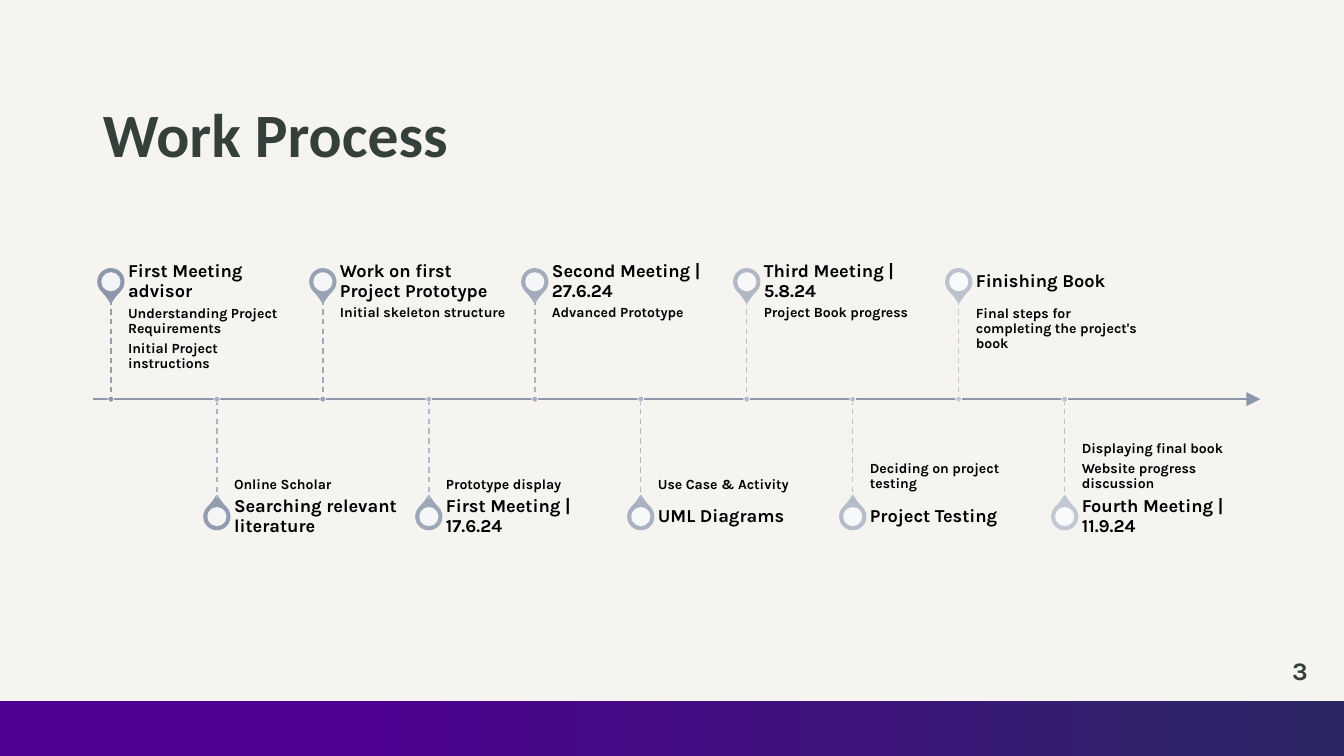
from dataclasses import dataclass

import pptx
import pptx.dml.color
import pptx.enum.dml
import pptx.enum.shapes
import pptx.enum.text
import pptx.oxml
import pptx.oxml.ns
import pptx.util

Inches = pptx.util.Inches
Pt = pptx.util.Pt
SHAPE = pptx.enum.shapes.MSO_SHAPE
ANCHOR = pptx.enum.text.MSO_ANCHOR
ALIGN = pptx.enum.text.PP_ALIGN


@dataclass(frozen=True)
class Theme:
    background: str = "F6F4F1"
    ink: str = "35403A"
    text: str = "000000"
    white: str = "FFFFFF"
    pin_first: str = "8D97AA"
    pin_last: str = "C1C7D3"
    band_right: str = "2B2765"
    band_left: str = "4E0091"
    title_font: str = "Calibri"
    body_font: str = "Karla"
    title_size: float = 44
    number_size: float = 18
    heading_size: float = 13
    detail_size: float = 10


THEME = Theme()

# Heading, details, stem colour, dot colour; steps alternate above and below
STEPS = [
    ("First Meeting advisor",
     ["Understanding Project Requirements", "Initial Project instructions"], "949FB3", "8D97AA"),
    ("Searching relevant literature", ["Online Scholar"], "AAB3C3", "A7AFBF"),
    ("Work on first Project Prototype", ["Initial skeleton structure"], "9FA9BB", "9AA3B4"),
    ("First Meeting | 17.6.24", ["Prototype display"], "B2B9C8", "AFB7C5"),
    ("Second Meeting | 27.6.24", ["Advanced Prototype"], "AAB3C3", "A7AFBF"),
    ("UML Diagrams", ["Use Case & Activity"], "B0B8C7", "ADB5C4"),
    ("Third Meeting | 5.8.24", ["Project Book progress"], "B6BDCB", "B4BBC9"),
    ("Project Testing", ["Deciding on project testing"], "BBC2CF", "BAC1CE"),
    ("Finishing Book", ["Final steps for completing the project's book"], "C1C7D3", "C1C7D3"),
    ("Fourth Meeting | 11.9.24",
     ["Displaying final book", "Website progress discussion"], "B9BFCD", "B7BECC"),
]


def rgb(color):
    return pptx.dml.color.RGBColor.from_string(color)


def blend(start, end, share):
    return pptx.dml.color.RGBColor(
        *(round(a + (b - a) * share) for a, b in zip(rgb(start), rgb(end))))


def set_font(paragraph, name, size, color):
    font = paragraph.font
    font.name, font.size, font.bold = name, Pt(size), True
    font.color.rgb = rgb(color)


def add_line(slide, start, end, color, width):
    line = slide.shapes.add_connector(
        pptx.enum.shapes.MSO_CONNECTOR.STRAIGHT, *map(Inches, start + end))
    line.line.color.rgb = rgb(color)
    line.line.width = Pt(width)
    line.element.spPr.append(pptx.oxml.parse_xml(
        f'<a:effectLst {pptx.oxml.ns.nsdecls("a")}/>'))
    return line


def add_centred(slide, kind, x, y, size, color, outline=None, width=0):
    shape = slide.shapes.add_shape(
        kind, *map(Inches, (x - size / 2, y - size / 2, size, size)))
    shape.shadow.inherit = False
    shape.fill.solid()
    shape.fill.fore_color.rgb = color
    if outline is None:
        shape.line.fill.background()
    else:
        shape.line.color.rgb = outline
        shape.line.width = Pt(width)
    return shape


def add_text(slide, box, lines, size, anchor, insets):
    frame = slide.shapes.add_textbox(*map(Inches, box)).text_frame
    frame.word_wrap = True
    frame.vertical_anchor = anchor
    (frame.margin_left, frame.margin_top,
     frame.margin_right, frame.margin_bottom) = map(Inches, insets)
    for index, line in enumerate(lines):
        paragraph = frame.paragraphs[0] if index == 0 else frame.add_paragraph()
        paragraph.text = line
        paragraph.line_spacing = 0.9
        paragraph.space_after = Pt(size * 0.35)
        set_font(paragraph, THEME.body_font, size, THEME.text)


def add_title(slide, box):
    title = slide.shapes.title
    title.left, title.top, title.width, title.height = map(Inches, box)
    frame = title.text_frame
    frame.text = "Work Process"
    frame.word_wrap = False
    frame.vertical_anchor = ANCHOR.MIDDLE
    frame.paragraphs[0].alignment = ALIGN.LEFT
    set_font(frame.paragraphs[0], THEME.title_font, THEME.title_size, THEME.ink)


def add_step(slide, x, axis_y, above, pin_color, step):
    heading, details, stem_color, dot_color = step
    side = -1 if above else 1
    reach, text_width, heading_height = 0.99, 1.75, 0.35
    text_x = x + 0.17
    pin_y = axis_y + side * (reach + heading_height / 2)

    # Pin
    pin = add_centred(slide, SHAPE.TEAR, x, pin_y, 0.25, pin_color, pin_color, 1.5)
    pin.adjustments[0] = 1.15
    pin.rotation = 135 if above else 315
    hole = add_centred(slide, SHAPE.OVAL, x, pin_y, 0.19, rgb(THEME.white))
    hole_color = hole.element.spPr.find(".//" + pptx.oxml.ns.qn("a:srgbClr"))
    hole_color.append(pptx.oxml.parse_xml(
        f'<a:alpha {pptx.oxml.ns.nsdecls("a")} val="90000"/>'))

    # Details and heading
    add_text(slide, (text_x, axis_y - reach if above else axis_y, text_width, reach),
             details, THEME.detail_size, ANCHOR.TOP if above else ANCHOR.BOTTOM,
             (0, 0.07, 0.07, 0.1) if above else (0, 0.1, 0, 0.07))
    add_text(slide, (text_x, pin_y - heading_height / 2, text_width, heading_height),
             [heading], THEME.heading_size, ANCHOR.MIDDLE, (0, 0, 0.09, 0))

    # Stem and dot on the axis
    stem = add_line(slide, *sorted([(x, axis_y), (x, axis_y + side * reach)]), stem_color, 1)
    stem.line.dash_style = pptx.enum.dml.MSO_LINE.DASH
    add_centred(slide, SHAPE.OVAL, x, axis_y, 0.06, rgb(dot_color), rgb(THEME.white), 0.5)


def add_timeline(slide, box):
    left, top, width, height = box
    axis_y = top + height / 2
    axis = add_line(slide, (left, axis_y), (left + width, axis_y), THEME.pin_first, 1.5)
    axis.element.spPr.find(pptx.oxml.ns.qn("a:ln")).append(pptx.oxml.parse_xml(
        f'<a:tailEnd {pptx.oxml.ns.nsdecls("a")} type="triangle" w="lg" len="lg"/>'))
    last = len(STEPS) - 1
    pitch = (width - 2.12) / last
    for index, step in enumerate(STEPS):
        pin_color = blend(THEME.pin_first, THEME.pin_last, index / last)
        add_step(slide, left + 0.18 + index * pitch, axis_y, index % 2 == 0, pin_color, step)


def add_page_number(slide, box):
    frame = slide.shapes.add_textbox(*map(Inches, box)).text_frame
    frame.word_wrap = True
    frame.vertical_anchor = ANCHOR.MIDDLE
    frame.text = "3"
    frame.paragraphs[0].alignment = ALIGN.RIGHT
    set_font(frame.paragraphs[0], THEME.body_font, THEME.number_size, THEME.ink)


def add_footer_band(slide, box):
    band = slide.shapes.add_shape(SHAPE.RECTANGLE, *map(Inches, box))
    band.shadow.inherit = False
    band.line.fill.background()
    band.fill.gradient()
    band.fill.gradient_angle = 180
    stops = ((0, THEME.band_right), (0.74, THEME.band_left))
    for stop, (position, color) in zip(band.fill.gradient_stops, stops):
        stop.position = position
        stop.color.rgb = rgb(color)


def main():
    deck = pptx.Presentation()
    deck.slide_width, deck.slide_height = Inches(13.33), Inches(7.5)
    slide = deck.slides.add_slide(deck.slide_layouts[5])
    slide.background.fill.solid()
    slide.background.fill.fore_color.rgb = rgb(THEME.background)
    add_title(slide, (0.92, 0.88, 3.98, 0.88))
    add_timeline(slide, (0.92, 2.62, 11.58, 2.68))
    add_page_number(slide, (12.5, 6.45, 0.57, 0.4))
    add_footer_band(slide, (0, 6.95, 13.33, 0.55))
    deck.save("out.pptx")


if __name__ == "__main__":
    main()
